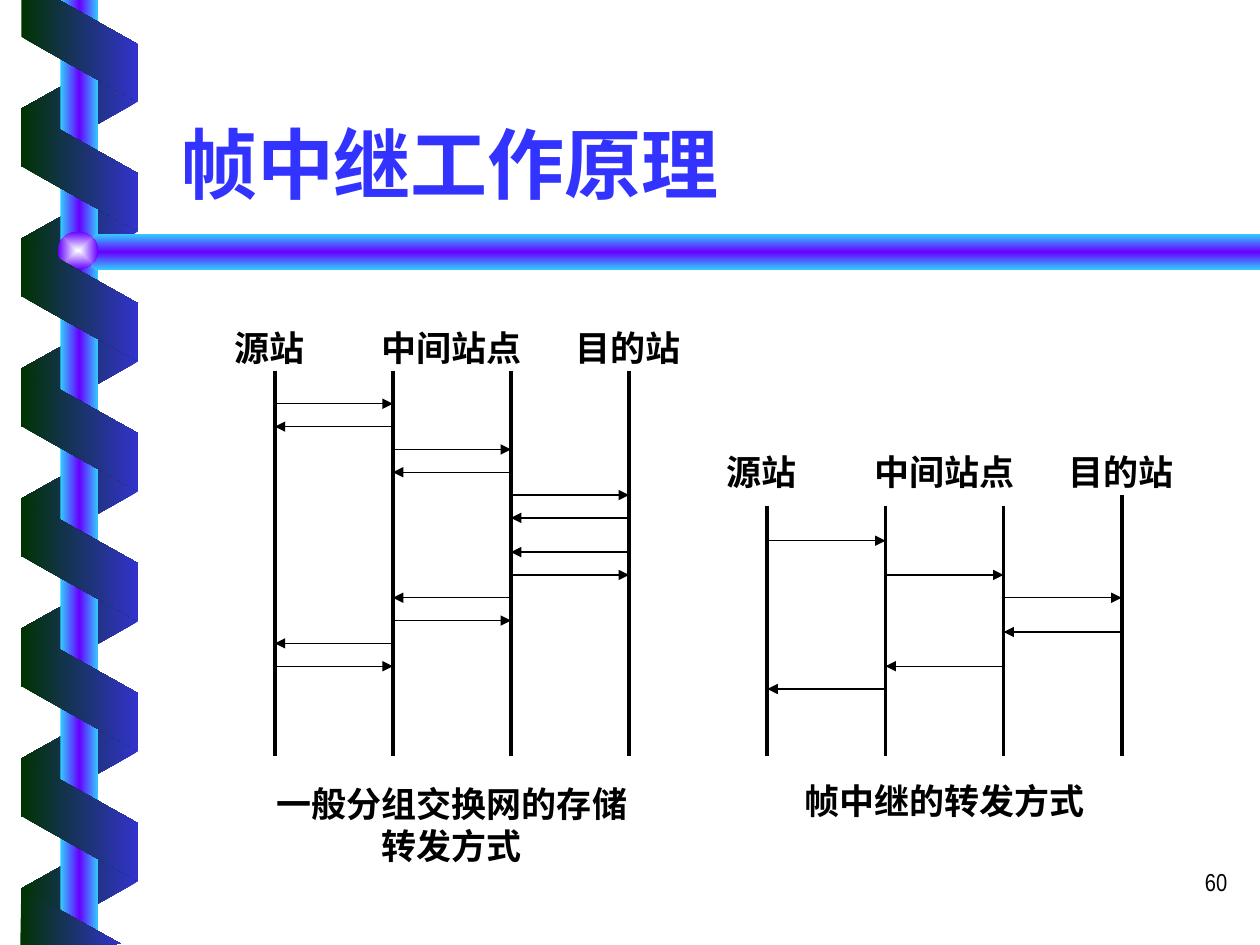
from lxml import etree
from pptx import Presentation
from pptx.dml.color import RGBColor
from pptx.enum.shapes import MSO_CONNECTOR, MSO_SHAPE
from pptx.enum.text import MSO_ANCHOR, PP_ALIGN
from pptx.oxml.ns import qn
from pptx.util import Cm, Pt

STRAIGHT = MSO_CONNECTOR.STRAIGHT
PARALLELOGRAM, RECTANGLE, OVAL = MSO_SHAPE.PARALLELOGRAM, MSO_SHAPE.RECTANGLE, MSO_SHAPE.OVAL
LEFT, CENTER, RIGHT = PP_ALIGN.LEFT, PP_ALIGN.CENTER, PP_ALIGN.RIGHT
TOP, MIDDLE, BOTTOM = MSO_ANCHOR.TOP, MSO_ANCHOR.MIDDLE, MSO_ANCHOR.BOTTOM

DARK_TO_BLUE = ["003300", "3333CC"]
TUBE = ["33CCFF", "6600FF", "33CCFF"]
CJK = "Noto Sans CJK SC"

prs = Presentation()
prs.slide_width, prs.slide_height = Cm(25.4), Cm(19.05)
slide = prs.slides.add_slide(prs.slide_layouts[6])
shapes = slide.shapes


def paint_gradient(shape, colors, angle=0, radial=False):
    shape.shadow.inherit = False
    shape.line.fill.background()
    shape.fill.gradient()
    gradient = shape.element.spPr.find(qn("a:gradFill"))
    gradient.clear()
    gradient.set("rotWithShape", "0")
    stops = etree.SubElement(gradient, qn("a:gsLst"))
    for i, color in enumerate(colors):
        stop = etree.SubElement(stops, qn("a:gs"), pos=str(100000 * i // (len(colors) - 1)))
        etree.SubElement(stop, qn("a:srgbClr"), val=color)
    if radial:
        center = etree.SubElement(gradient, qn("a:path"), path="rect")
        etree.SubElement(center, qn("a:fillToRect"), l="50000", t="50000", r="50000", b="50000")
    else:
        etree.SubElement(gradient, qn("a:lin"), ang=str(angle * 60000), scaled="1")


def add_text(text, box, font_format, align, anchor, inset=(0, 0)):
    frame = shapes.add_textbox(*map(Cm, box)).text_frame
    across, down = map(Cm, inset)
    frame_format = {"word_wrap": True, "vertical_anchor": anchor, "margin_left": across,
                    "margin_right": across, "margin_top": down, "margin_bottom": down}
    for name, value in frame_format.items():
        setattr(frame, name, value)
    paragraph = frame.paragraphs[0]
    paragraph.alignment = align
    run = paragraph.add_run()
    run.text = text
    for name, value in font_format["font"].items():
        setattr(run.font, name, value)
    run.font.color.rgb = RGBColor.from_string(font_format["color"])
    etree.SubElement(run.font._element, qn("a:ea"), typeface=CJK)


ribbon_pitch = 2.62
for i in range(7):
    back = shapes.add_shape(PARALLELOGRAM, Cm(0.36), Cm(0.94 + ribbon_pitch * i), Cm(2.49), Cm(2.36))
    back.adjustments[0] = 0.56
    back.rotation = 90
    back.element.spPr.find(qn("a:xfrm")).set("flipH", "1")
    paint_gradient(back, DARK_TO_BLUE[::-1])

pole = shapes.add_shape(RECTANGLE, Cm(1.22), 0, Cm(0.76), Cm(19.05))
paint_gradient(pole, TUBE)

bar_outline = [(25.4, 4.72), (1.93, 4.72), (1.52, 5.08), (1.93, 5.44), (25.4, 5.44)]
ribbon_top = [(0.43, 0), (0.43, 0.74), (2.77, 2.06), (2.77, 0.89), (1.19, 0)]
ribbon_bottom = [(2.44, 19.03), (0.43, 17.91), (0.41, 19.05)]
for outline, colors, angle in [(bar_outline, TUBE, 90), (ribbon_top, DARK_TO_BLUE, 0),
                               (ribbon_bottom, DARK_TO_BLUE, 0)]:
    points = [(Cm(x), Cm(y)) for x, y in outline]
    builder = shapes.build_freeform(*points[0])
    builder.add_line_segments(points[1:], close=True)
    paint_gradient(builder.convert_to_shape(), colors, angle)

ball = shapes.add_shape(OVAL, Cm(1.17), Cm(4.67), Cm(0.81), Cm(0.76))
paint_gradient(ball, ["FEFFFF", "6600FF"], radial=True)

for i in range(6):
    front = shapes.add_shape(PARALLELOGRAM, Cm(0.36), Cm(2.24 + ribbon_pitch * i), Cm(2.49), Cm(2.36))
    front.adjustments[0] = 0.56
    front.rotation = 270
    paint_gradient(front, DARK_TO_BLUE)

title_format = {"font": {"name": CJK, "size": Pt(44), "bold": True}, "color": "3333FF"}
number_format = {"font": {"name": "Arial Narrow", "size": Pt(14)}, "color": "000000"}
label_format = {"font": {"name": "Times New Roman", "size": Pt(20), "bold": True}, "color": "000000"}

add_text("60", (19.71, 17.35, 5.28, 1.27), number_format, RIGHT, TOP, (0.25, 0.13))
add_text("帧中继工作原理", (3.38, 1.17, 21.59, 3.18), title_format, LEFT, BOTTOM, (0.25, 0.13))

station_pitch, first_row, row_step, line_bottom = 2.38, 8.14, 0.46, 15.24
station_labels = [("源站", -1.09, 1.96), ("中间站点", 1.94, 3.25), ("目的站", 5.83, 2.59)]
diagrams = [
    {"left": 5.54, "line_tops": [7.47] * 4, "label_top": 6.58,
     "caption": "一般分组交换网的存储转发方式", "caption_top": 15.77, "caption_height": 1.7,
     "hops": [(0, 0, 1), (1, 1, 0), (2, 1, 2), (3, 2, 1), (4, 2, 3), (5, 3, 2),
              (6.5, 3, 2), (7.5, 2, 3), (8.5, 2, 1), (9.5, 1, 2), (10.5, 1, 0), (11.5, 0, 1)]},
    {"left": 15.47, "line_tops": [10.21, 10.21, 10.21, 9.98], "label_top": 9.09,
     "caption": "帧中继的转发方式", "caption_top": 15.72, "caption_height": 0.84,
     "hops": [(6, 0, 1), (7.5, 1, 2), (8.5, 2, 3), (10, 3, 2), (11.5, 2, 1), (12.5, 1, 0)]},
]

for diagram in diagrams:
    stations = [diagram["left"] + station_pitch * i for i in range(4)]
    strokes = [(x, top, x, line_bottom, 2.25) for x, top in zip(stations, diagram["line_tops"])]
    for row, source, target in diagram["hops"]:
        y = first_row + row_step * row
        strokes.append((stations[source], y, stations[target], y, 0.75))
    for *ends, width in strokes:
        stroke = shapes.add_connector(STRAIGHT, *map(Cm, ends))
        stroke.line.color.rgb = RGBColor.from_string("000000")
        stroke.line.width = Pt(width)
        if width < 1:
            etree.SubElement(stroke.line._get_or_add_ln(), qn("a:tailEnd"), type="triangle")
        etree.SubElement(stroke.element.spPr, qn("a:effectLst"))
    for name, offset, width in station_labels:
        add_text(name, (diagram["left"] + offset, diagram["label_top"], width, 0.84),
                 label_format, CENTER, MIDDLE)
    add_text(diagram["caption"],
             (diagram["left"], diagram["caption_top"], 7.14, diagram["caption_height"]),
             label_format, CENTER, MIDDLE)

prs.save("out.pptx")
